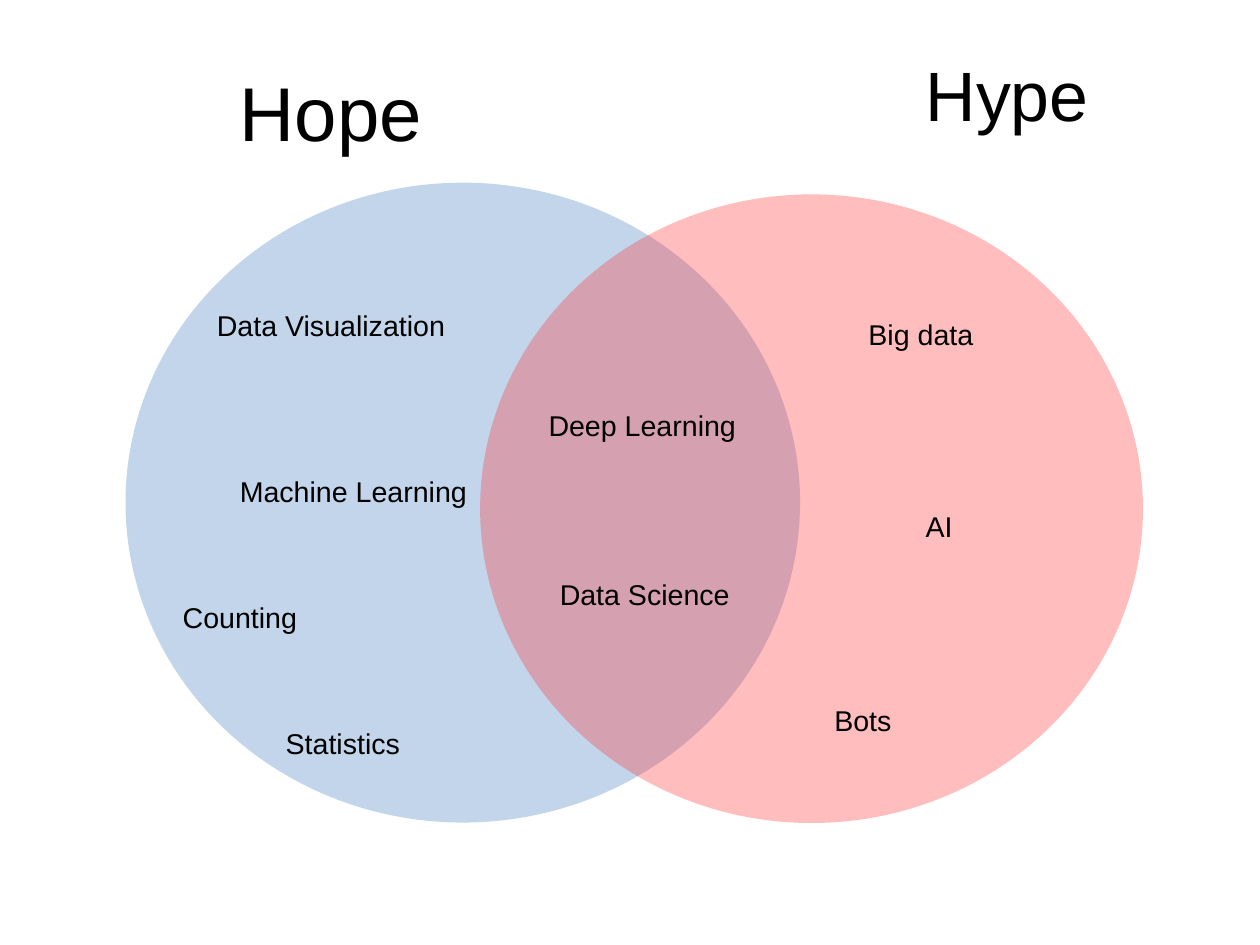
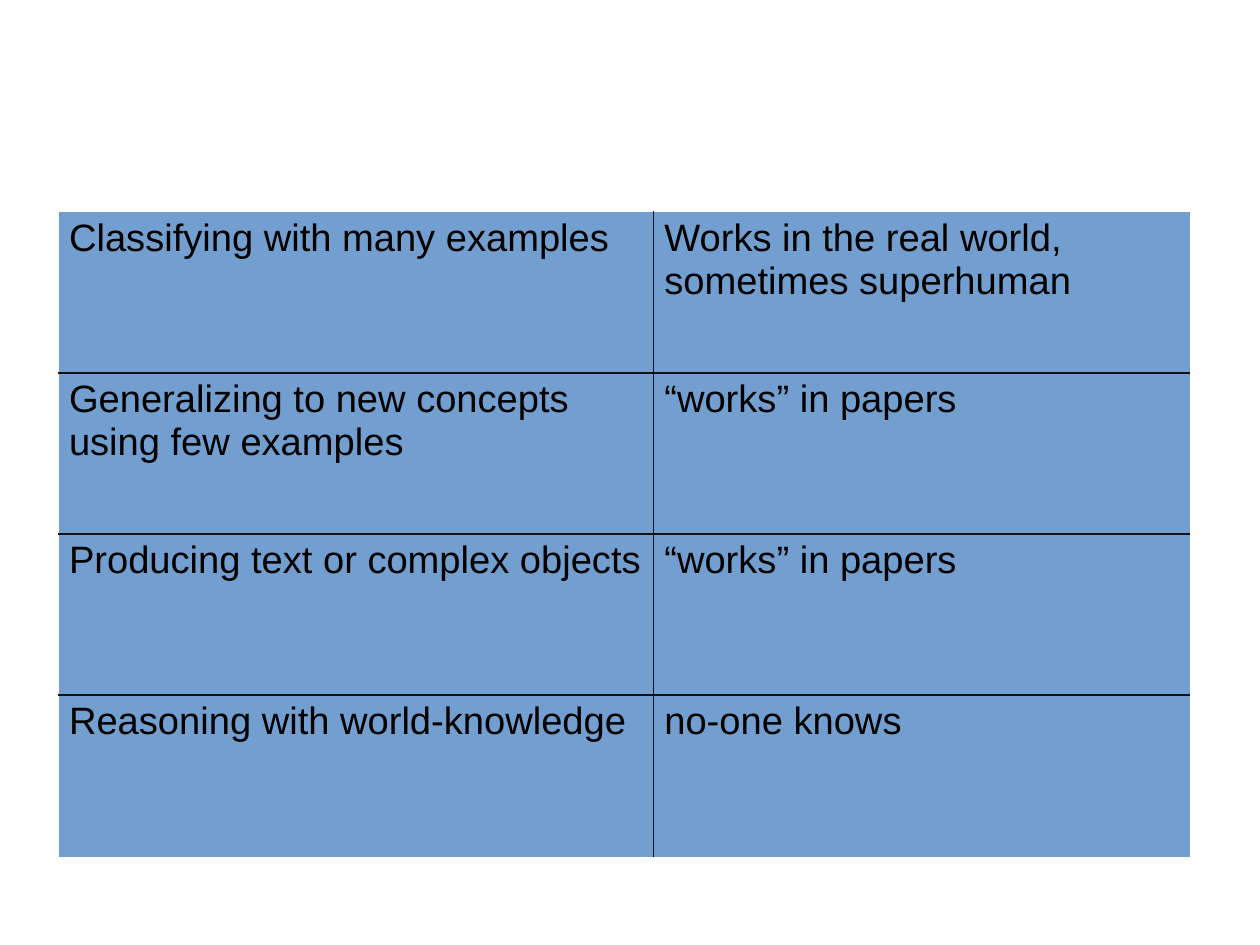
from dataclasses import dataclass

from lxml import etree
from pptx import Presentation
from pptx import util as u
from pptx.dml.color import RGBColor
from pptx.enum import shapes, text
from pptx.oxml.ns import qn

EMU_PER_PX = 3600  # 100 px to the centimetre


@dataclass(frozen=True)
class Theme:
    font: str = "Arial"
    ink: str = "000000"
    blue: str = "729FCF"
    red: str = "FF3333"
    rule: str = "111111"
    edge: str = "FFFFFF"
    label_size: int = 18
    table_size: int = 24
    hope_size: int = 48
    hype_size: int = 44
    hairline: float = 0.06
    row_rule: float = 1.42


THEME = Theme()

# text, left, top, width, height
TERMS = [
    ("Deep Learning", 1194, 894, 584, 97),
    ("Big data", 1905, 691, 406, 97),
    ("Machine Learning", 508, 1041, 559, 168),
    ("AI", 2032, 1118, 305, 97),
    ("Counting", 381, 1321, 508, 97),
    ("Statistics", 610, 1600, 457, 97),
    ("Data Visualization", 457, 671, 610, 168),
    ("Data Science", 1219, 1270, 432, 168),
    ("Bots", 1829, 1549, 330, 97),
]

ABILITIES = [
    ("Classifying with many examples", "Works in the real world, sometimes superhuman"),
    ("Generalizing to new concepts\nusing few examples", "“works” in papers"),
    ("Producing text or complex objects", "“works” in papers"),
    ("Reasoning with world-knowledge", "no-one knows"),
]


def px(*lengths):
    return [u.Emu(n * EMU_PER_PX) for n in lengths]


def style_text(tf, size):
    for p in tf.paragraphs:
        p.font.name = THEME.font
        p.font.size = u.Pt(size)
        p.font.color.rgb = RGBColor.from_string(THEME.ink)


def add_circle(s, box, color, opacity):
    sp = s.shapes.add_shape(shapes.MSO_SHAPE.OVAL, *px(*box))
    sp.shadow.inherit = False
    sp.line.fill.background()
    sp.fill.solid()
    sp.fill.fore_color.rgb = RGBColor.from_string(color)
    clr = sp._element.spPr.find(qn("a:solidFill"))[0]
    etree.SubElement(clr, qn("a:alpha"), val=str(opacity * 1000))


def add_label(s, words, left, top, width, height, size=THEME.label_size):
    tf = s.shapes.add_textbox(*px(left, top, width, height)).text_frame
    tf.word_wrap = True
    tf.auto_size = text.MSO_AUTO_SIZE.SHAPE_TO_FIT_TEXT
    tf.text = words
    style_text(tf, size)


def set_borders(cell, borders):
    """Draw (side, colour, points) borders, given in the order L, R, T, B."""
    tc_pr = cell._tc.get_or_add_tcPr()
    for i, (side, color, points) in enumerate(borders):
        ln = etree.Element(qn(f"a:ln{side}"), w=str(int(u.Pt(points))))
        fill = etree.SubElement(ln, qn("a:solidFill"))
        etree.SubElement(fill, qn("a:srgbClr"), val=color)
        tc_pr.insert(i, ln)


def add_grid(s, rows, left, top, widths, heights):
    frame = s.shapes.add_table(len(rows), len(widths),
                               *px(left, top, sum(widths), sum(heights)))
    table = frame.table
    table.first_row = table.horz_banding = False
    for column, width in zip(table.columns, px(*widths)):
        column.width = width
    for row, height in zip(table.rows, px(*heights)):
        row.height = height

    outer = (THEME.edge, THEME.hairline)
    between_columns = (THEME.rule, THEME.hairline)
    between_rows = (THEME.rule, THEME.row_rule)
    last_row, last_col = len(rows) - 1, len(widths) - 1
    for r, row in enumerate(rows):
        for c, words in enumerate(row):
            cell = table.cell(r, c)
            cell.text = words
            style_text(cell.text_frame, THEME.table_size)
            cell.fill.solid()
            cell.fill.fore_color.rgb = RGBColor.from_string(THEME.blue)
            set_borders(cell, [
                ("L", *(outer if c == 0 else between_columns)),
                ("R", *(outer if c == last_col else between_columns)),
                ("T", *(outer if r == 0 else between_rows)),
                ("B", *(outer if r == last_row else between_rows)),
            ])


def build_venn(s):
    add_circle(s, (279, 406, 1499, 1422), THEME.blue, 43)
    add_circle(s, (1067, 432, 1473, 1397), THEME.red, 32)
    add_label(s, "Hope", 508, 132, 610, 213, THEME.hope_size)
    add_label(s, "Hype", 2032, 102, 660, 198, THEME.hype_size)
    for term in TERMS:
        add_label(s, *term)


def build_abilities(s):
    add_grid(s, ABILITIES, 128, 470, (1323, 1194), (358, 358, 358, 361))


def main():
    prs = Presentation()
    prs.slide_width, prs.slide_height = px(2800, 2100)
    blank = prs.slide_layouts.get_by_name("Blank")
    for build in (build_venn, build_abilities):
        build(prs.slides.add_slide(blank))
    prs.save("out.pptx")


if __name__ == "__main__":
    main()
